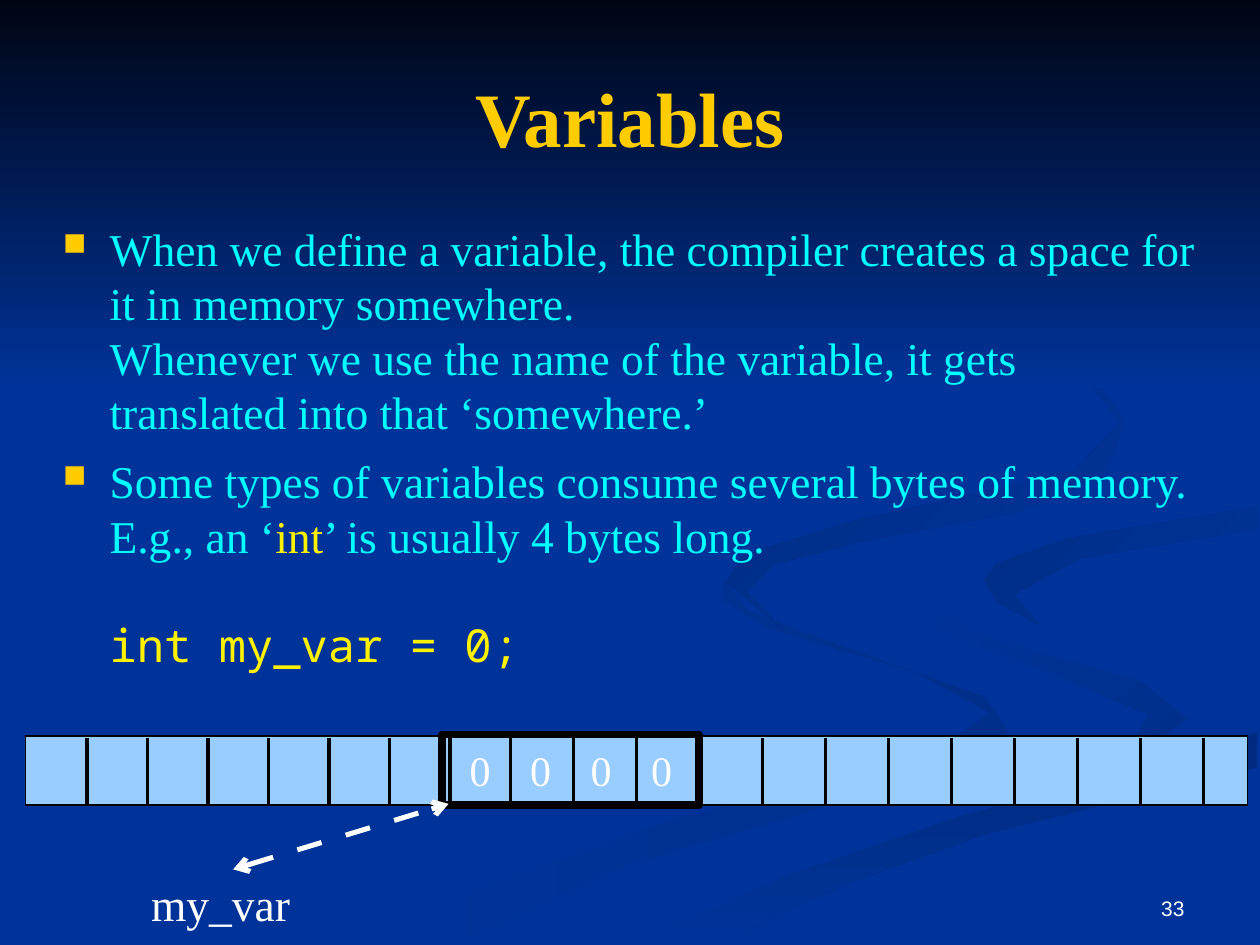
"""Build the Variables slide: memory strip with a four-byte int."""
from lxml import etree
from pptx import Presentation
from pptx.dml.color import RGBColor
from pptx.enum.shapes import MSO_CONNECTOR, MSO_SHAPE
from pptx.enum.text import MSO_ANCHOR, PP_ALIGN
from pptx.oxml.ns import qn
from pptx.util import Inches, Pt

LINE = MSO_CONNECTOR.STRAIGHT
RECT = MSO_SHAPE.RECTANGLE
LEFT, CENTER, RIGHT = PP_ALIGN.LEFT, PP_ALIGN.CENTER, PP_ALIGN.RIGHT
TOP, MIDDLE, BOTTOM = MSO_ANCHOR.TOP, MSO_ANCHOR.MIDDLE, MSO_ANCHOR.BOTTOM
SERIF, SANS, MONO = "Times New Roman", "Arial", "Noto Sans Mono"
BLUE, GOLD, CYAN, YELLOW, WHITE, BLACK = "003399", "FFCC00", "00FFFF", "FFF200", "FFFFFF", "000000"
rgb = RGBColor.from_string

prs = Presentation()
prs.slide_width, prs.slide_height = Inches(10), Inches(7.5)
U = prs.slide_width // 10
s = prs.slides.add_slide(prs.slide_layouts[5])
s.background.fill.solid()
s.background.fill.fore_color.rgb = rgb(BLUE)


def paint(sp, colours, angle=0):
    """Fill a shape with one colour or a two-colour gradient, without outline."""
    sp.shadow.inherit = False
    sp.line.fill.background()
    if len(colours) == 1:
        sp.fill.solid()
        sp.fill.fore_color.rgb = rgb(colours[0])
        return
    sp.fill.gradient()
    sp.fill.gradient_angle = -angle % 360
    for stop, colour in zip(sp.fill.gradient_stops, colours):
        stop.color.rgb = rgb(colour)


def label(x, y, w, h, text, size, font=SERIF, align=LEFT, anchor=TOP, wrap=False):
    """Add a one-line white text box."""
    tf = s.shapes.add_textbox(int(x * U), int(y * U), int(w * U), int(h * U)).text_frame
    tf.text = text
    tf.word_wrap = wrap
    tf.vertical_anchor = anchor
    p = tf.paragraphs[0]
    p.alignment = align
    f = p.runs[0].font
    f.size, f.name, f.color.rgb = Pt(size), font, rgb(WHITE)


swirls = [
    ((BLUE, "002E8B"), 0, [
        (781, 553), (682, 518), (594, 485), (575, 459), (572, 476), (611, 499), (728, 534),
        (786, 566), (739, 598), (539, 649), (376, 707), (300, 749), (361, 749), (499, 686),
        (676, 634), (779, 604), (800, 581)]),
    ((BLUE, "002E8B"), 45, [
        (942, 570), (904, 540), (774, 503), (724, 464), (745, 500), (838, 536), (911, 567),
        (893, 604), (932, 589)]),
    (("002A7D", BLUE), 90, [
        (503, 749), (571, 749), (670, 702), (785, 661), (998, 609), (998, 581), (764, 647),
        (629, 693)]),
    ((BLUE,), 0, [
        (725, 464), (775, 503), (905, 540), (942, 570), (902, 603), (743, 643), (573, 703),
        (477, 749), (503, 749), (629, 693), (765, 647), (999, 581), (999, 538), (848, 503),
        (781, 463), (822, 433), (999, 402), (999, 387), (788, 422), (732, 446)]),
    (("002D86", BLUE), 45, [
        (781, 460), (791, 478), (825, 496), (805, 472), (858, 443), (998, 420), (998, 402),
        (849, 427), (791, 447)]),
    (("002B82", BLUE), 45, [
        (683, 430), (806, 407), (876, 378), (893, 335), (863, 291), (762, 233), (845, 279),
        (889, 335), (852, 374), (675, 414), (589, 441), (577, 462), (622, 500), (593, 470),
        (614, 448)]),
]
for colours, angle, points in swirls:
    fb = s.shapes.build_freeform(*points[0], scale=U / 100)
    fb.add_line_segments(points[1:])
    paint(fb.convert_to_shape(), colours, angle)
sp = s.shapes.add_shape(RECT, 0, 0, prs.slide_width, int(3.08 * U))
paint(sp, ("000514", BLUE), 90)

label(7.17, 6.84, 2.33, 0.52, "33", 12, SANS, RIGHT, BOTTOM, True)

title = s.shapes.title
s.shapes._spTree.append(title._element)
title.left, title.top, title.width, title.height = (int(n * U) for n in (0.5, 0.14, 9, 1.57))
tf = title.text_frame
tf.text = "Variables"
tf.margin_left = tf.margin_right = tf.margin_top = tf.margin_bottom = 0
tf.vertical_anchor = MIDDLE
p = tf.paragraphs[0]
p.alignment = CENTER
f = p.runs[0].font
f.size, f.name, f.bold, f.color.rgb = Pt(44), SERIF, True, rgb(GOLD)

bullets = [
    [("When we define a variable, the compiler creates a space for it in memory somewhere.", SERIF, CYAN, 1),
     ("Whenever we use the name of the variable, it gets translated into that ‘somewhere.’", SERIF, CYAN, 0)],
    [("Some types of variables consume several bytes of memory. E.g., an ‘", SERIF, CYAN, 0),
     ("int", SERIF, YELLOW, 0),
     ("’ is usually 4 bytes long.", SERIF, CYAN, 2),
     ("int my_var = 0;", MONO, YELLOW, 0)],
]
tf = s.shapes.add_textbox(int(0.5 * U), int(1.75 * U), 9 * U, int(4.35 * U)).text_frame
tf.word_wrap = True
tf.margin_left = tf.margin_right = tf.margin_top = tf.margin_bottom = 0
for i, runs in enumerate(bullets):
    p = tf.add_paragraph() if i else tf.paragraphs[0]
    p.space_before, p.line_spacing = Pt(8), Pt(31.2)
    for text, font, colour, breaks in runs:
        r = p.add_run()
        r.text = text
        r.font.size, r.font.name, r.font.color.rgb = Pt(26), font, rgb(colour)
        for _ in range(breaks):
            p.add_line_break()
    for br in p._p.findall(qn("a:br")):
        etree.SubElement(br, qn("a:rPr"), sz="2600")
    pPr = p._p.get_or_add_pPr()
    pPr.set("marL", str(int(0.37 * U)))
    pPr.set("indent", str(int(-0.37 * U)))
    clr = etree.SubElement(pPr, qn("a:buClr"))
    etree.SubElement(clr, qn("a:srgbClr"), val=GOLD)
    etree.SubElement(pPr, qn("a:buSzPct"), val="70000")
    etree.SubElement(pPr, qn("a:buChar"), char="■")

strip = s.shapes.add_shape(RECT, int(0.2 * U), int(5.84 * U), int(9.7 * U), int(0.55 * U))
paint(strip, ("99CCFF",))
strip.line.color.rgb = rgb(BLACK)
strip.line.width = 0

dividers = [0.69 + 0.48 * i for i in range(8)] + [4.55 + 0.5 * i for i in range(11)]
for x in dividers:
    c = s.shapes.add_connector(LINE, int(x * U), int(5.86 * U), int(x * U), int(6.39 * U))
    c.line.color.rgb = rgb(BLACK)
    c.line.width = 0
    etree.SubElement(c._element.spPr, qn("a:effectLst"))

for i in range(4):
    label(3.63 + 0.48 * i, 5.86, 0.37, 0.5, "0", 24)

frame = s.shapes.add_shape(RECT, int(3.51 * U), int(5.83 * U), int(2.04 * U), int(0.56 * U))
frame.shadow.inherit = False
frame.fill.background()
frame.line.color.rgb = rgb(BLACK)
frame.line.width = Pt(4.31)

label(1.1, 6.9, 1.61, 0.59, "my_var", 26)
c = s.shapes.add_connector(LINE, int(1.85 * U), int(6.9 * U), int(3.56 * U), int(6.38 * U))
c.line.color.rgb = rgb(WHITE)
c.line.width = Pt(2.89)
ln = c.line._get_or_add_ln()
dash = etree.SubElement(ln, qn("a:custDash"))
etree.SubElement(dash, qn("a:ds"), d="500000", sp="500000")
for end in ("a:headEnd", "a:tailEnd"):
    etree.SubElement(ln, qn(end), type="arrow")
etree.SubElement(c._element.spPr, qn("a:effectLst"))

prs.save("out.pptx")
